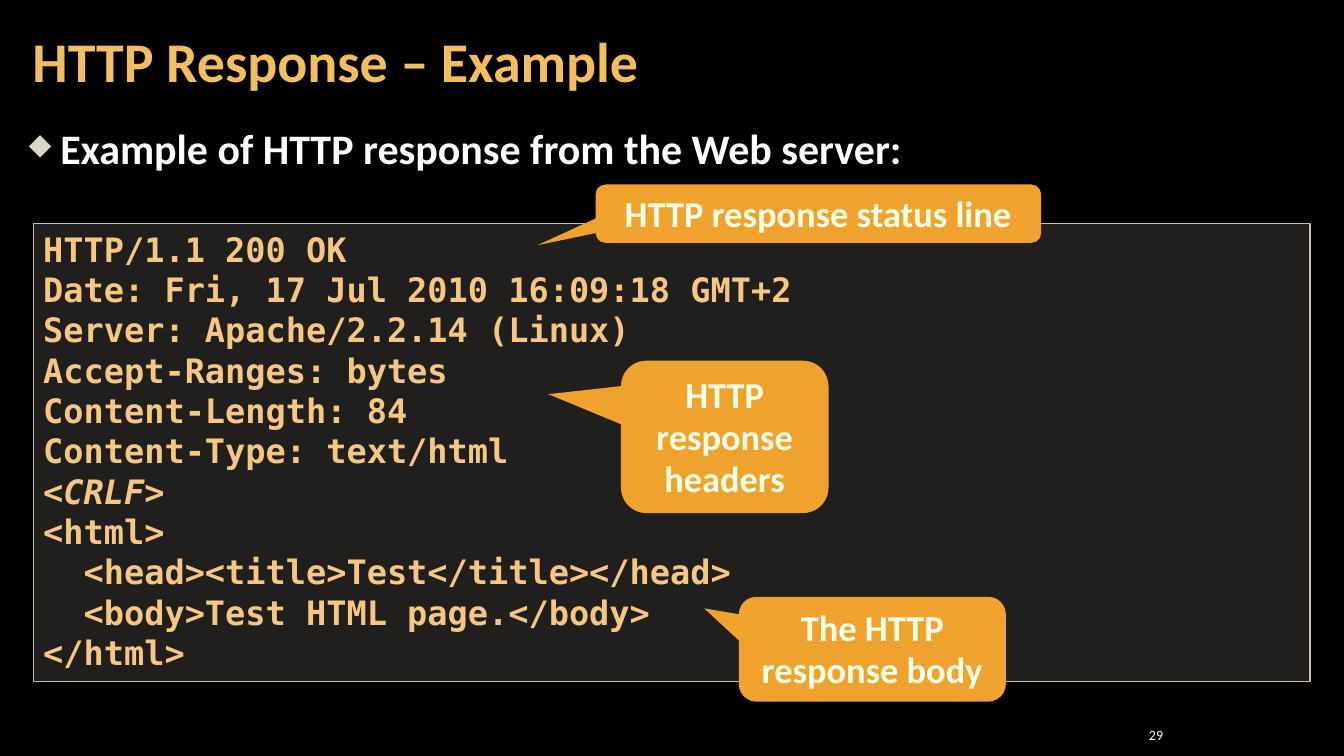
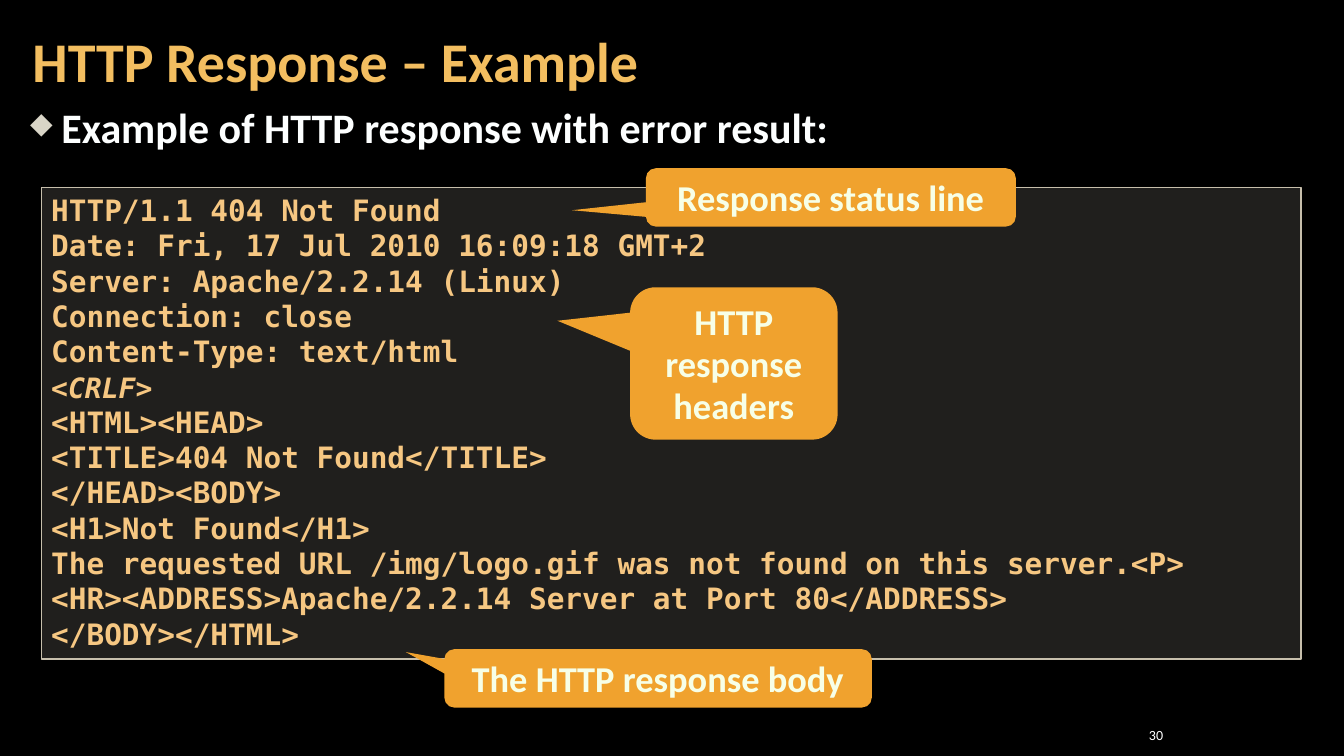
from dataclasses import dataclass

import pptx
import pptx.dml.color
import pptx.enum.shapes
import pptx.enum.text
import pptx.oxml
import pptx.oxml.ns
import pptx.util
from lxml import etree

Cm = pptx.util.Cm
Pt = pptx.util.Pt
ALIGN = pptx.enum.text.PP_ALIGN
ANCHOR = pptx.enum.text.MSO_ANCHOR
KIND = pptx.enum.shapes.MSO_SHAPE

BLACK = "000000"
WHITE = "FFFFFF"
GOLD = "F3BE60"
LEAD = "FDFFFF"
SAND = "D9D5C7"
EDGE = "C7BFAC"
CODE = "F6C782"
AMBER = "F0A22E"
CREAM = "F7FFE7"

SANS = "Calibri"
MONO = "DejaVu Sans Mono"
TITLE = "HTTP Response – Example"
BREAK = "<CRLF>"


@dataclass
class Box:
    """Left, top, width and height in centimetres."""
    left: float
    top: float
    width: float
    height: float

    def emu(self) -> tuple:
        return Cm(self.left), Cm(self.top), Cm(self.width), Cm(self.height)


@dataclass
class Note:
    text: str
    box: Box
    tip: tuple


@dataclass
class Page:
    number: int
    lead: str
    lead_box: Box
    lead_pitch: float | None
    code: str
    code_box: Box
    code_size: int
    break_size: int
    notes: list


TITLE_BOX = Box(0.52, 0.1, 26.59, 3.07)
NUMBER_BOX = Box(28.14, 18.21, 1.27, 0.64)

PAGES = [
    Page(
        29, "Example of HTTP response from the Web server:",
        Box(0.48, 2.97, 28.14, 1.7), None,
        """HTTP/1.1 200 OK
Date: Fri, 17 Jul 2010 16:09:18 GMT+2
Server: Apache/2.2.14 (Linux)
Accept-Ranges: bytes
Content-Length: 84
Content-Type: text/html
<CRLF>
<html>
  <head><title>Test</title></head>
  <body>Test HTML page.</body>
</html>""",
        Box(0.84, 5.64, 32.18, 11.53), 24, 24,
        [
            Note("HTTP response status line", Box(15.01, 4.65, 11.23, 1.47), (-0.63, 0.54)),
            Note("HTTP response headers", Box(15.65, 9.09, 5.23, 3.84), (-0.85, -0.28)),
            Note("The HTTP response body", Box(18.62, 15.04, 6.73, 2.64), (-0.63, -0.39)),
        ],
    ),
    Page(
        30, "Example of HTTP response with error result:",
        Box(0.51, 2.36, 28.14, 1.7), 38,
        """HTTP/1.1 404 Not Found
Date: Fri, 17 Jul 2010 16:09:18 GMT+2
Server: Apache/2.2.14 (Linux)
Connection: close
Content-Type: text/html
<CRLF>
<HTML><HEAD>
<TITLE>404 Not Found</TITLE>
</HEAD><BODY>
<H1>Not Found</H1>
The requested URL /img/logo.gif was not found on this server.<P>
<HR><ADDRESS>Apache/2.2.14 Server at Port 80</ADDRESS>
</BODY></HTML>""",
        Box(1.04, 4.72, 31.75, 11.89), 21, 20,
        [
            Note("Response status line", Box(16.28, 4.24, 9.32, 1.47), (-0.7, 0.22)),
            Note("HTTP response headers", Box(15.88, 7.24, 5.23, 3.84), (-0.85, -0.28)),
            Note("The HTTP response body", Box(11.2, 16.36, 10.77, 1.47), (-0.59, -0.45)),
        ],
    ),
]


def color(code: str):
    return pptx.dml.color.RGBColor.from_string(code)


def write(para, text: str, size: float, hue: str, font: str = SANS, bold: bool = True):
    run = para.add_run()
    run.text = text
    run.font.name = font
    run.font.size = Pt(size)
    run.font.bold = bold
    run.font.color.rgb = color(hue)
    return run


def text_box(slide, box: Box, anchor=ANCHOR.TOP):
    frame = slide.shapes.add_textbox(*box.emu()).text_frame
    frame.word_wrap = True
    frame.vertical_anchor = anchor
    return frame


def block(slide, kind, box: Box, fill: str, anchor):
    shape = slide.shapes.add_shape(kind, *box.emu())
    shape.shadow.inherit = False
    shape.fill.solid()
    shape.fill.fore_color.rgb = color(fill)
    shape.line.fill.background()
    shape.text_frame.word_wrap = True
    shape.text_frame.vertical_anchor = anchor
    return shape


def fade(shape, share: int) -> None:
    """Set the opacity of a solid fill, in percent."""
    tone = shape.fill._xPr.find(".//" + pptx.oxml.ns.qn("a:srgbClr"))
    etree.SubElement(tone, pptx.oxml.ns.qn("a:alpha"), val=str(share * 1000))


def bullet(para) -> None:
    props = para._p.get_or_add_pPr()
    props.set("marL", str(Cm(0.79)))
    props.set("indent", str(-Cm(0.79)))
    space = pptx.oxml.ns.nsdecls("a")
    for part in (
        f'<a:buClr {space}><a:srgbClr val="{SAND}"/></a:buClr>',
        f'<a:buSzPct {space} val="70000"/>',
        f'<a:buChar {space} char="◆"/>',
    ):
        props.append(pptx.oxml.parse_xml(part))


def draw_title(slide) -> None:
    frame = text_box(slide, TITLE_BOX, ANCHOR.MIDDLE)
    frame.margin_left = frame.margin_right = Cm(0.3)
    frame.margin_top = frame.margin_bottom = Cm(0.1)
    para = frame.paragraphs[0]
    para.line_spacing = 0.9
    write(para, TITLE, 40, GOLD)


def draw_number(slide, number: int) -> None:
    frame = text_box(slide, NUMBER_BOX, ANCHOR.MIDDLE)
    frame.margin_left = frame.margin_right = Cm(0.1)
    frame.margin_top = frame.margin_bottom = Cm(0.1)
    para = frame.paragraphs[0]
    para.alignment = ALIGN.RIGHT
    write(para, str(number), 10, WHITE, bold=False)


def draw_lead(slide, page: Page) -> None:
    para = text_box(slide, page.lead_box).paragraphs[0]
    bullet(para)
    if page.lead_pitch:
        para.line_spacing = Pt(page.lead_pitch)
    write(para, page.lead, 30, LEAD)


def draw_code(slide, page: Page) -> None:
    panel = block(slide, KIND.RECTANGLE, page.code_box, SAND, ANCHOR.TOP)
    fade(panel, 15)
    panel.line.color.rgb = color(EDGE)
    panel.line.width = Pt(1)
    frame = panel.text_frame
    for row, line in enumerate(page.code.splitlines()):
        para = frame.add_paragraph() if row else frame.paragraphs[0]
        para.alignment = ALIGN.LEFT
        para.line_spacing = Pt(page.code_size * 1.2)
        mark = line == BREAK
        size = page.break_size if mark else page.code_size
        write(para, line, size, CODE, MONO).font.italic = mark


def draw_note(slide, note: Note) -> None:
    shape = block(slide, KIND.ROUNDED_RECTANGULAR_CALLOUT, note.box, AMBER, ANCHOR.MIDDLE)
    shape.adjustments[0], shape.adjustments[1] = note.tip
    para = shape.text_frame.paragraphs[0]
    para.alignment = ALIGN.CENTER
    para.line_spacing = Pt(30)
    write(para, note.text, 26, CREAM)


def draw_page(deck, page: Page) -> None:
    slide = deck.slides.add_slide(deck.slide_layouts[6])
    slide.background.fill.solid()
    slide.background.fill.fore_color.rgb = color(BLACK)
    draw_title(slide)
    draw_number(slide, page.number)
    draw_lead(slide, page)
    draw_code(slide, page)
    for note in page.notes:
        draw_note(slide, note)


def main() -> None:
    deck = pptx.Presentation()
    deck.slide_width = Cm(33.87)
    deck.slide_height = Cm(19.05)
    for page in PAGES:
        draw_page(deck, page)
    deck.save("out.pptx")


if __name__ == "__main__":
    main()
